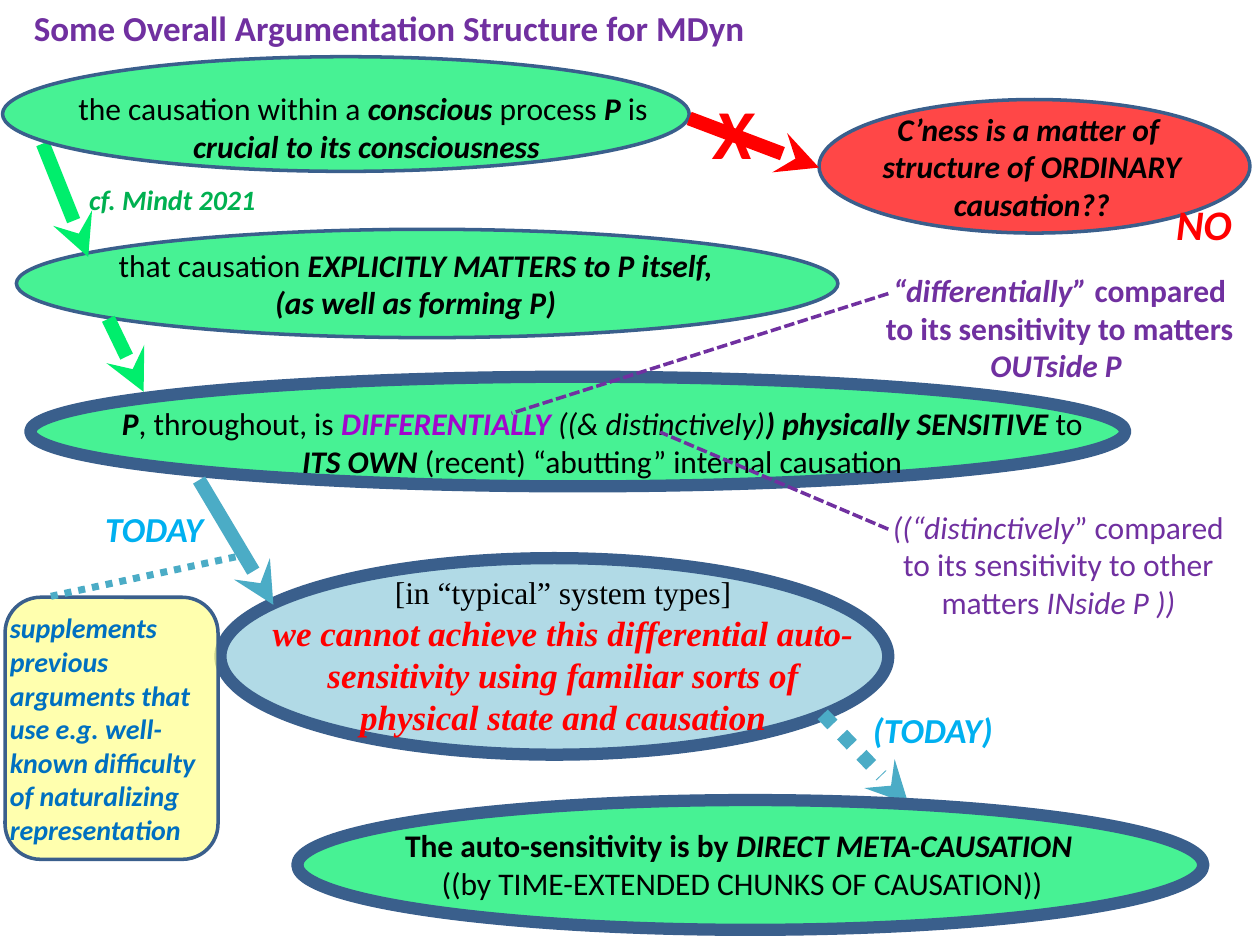
from pptx import Presentation
from pptx.dml.color import RGBColor
from pptx.enum.dml import MSO_LINE_DASH_STYLE as DASH
from pptx.enum.shapes import MSO_CONNECTOR, MSO_SHAPE as SHAPE
from pptx.enum.text import MSO_AUTO_SIZE, PP_ALIGN as ALIGN
from pptx.oxml import parse_xml
from pptx.oxml.ns import nsdecls, qn
from pptx.util import Inches, Pt

THEME = {
    "font": "Calibri", "serif": "Times New Roman",
    "body": 18, "note": 16, "label": 20, "verdict": 24, "cross": 40,
    "text": "000000", "outline": "3A5F8C", "claim": "00EE6C", "rejected": "FF0000",
    "problem": "93CDDD", "aside": "FFFF8F", "aside_text": "0070C0",
    "step": "4BACC6", "today": "00B0F0", "purple": "7030A0",
    "highlight": "A205CD", "cite": "00B050",
}
FILL_OPACITY = 72
THIN, DOTTED, THICK, ARROW = 2, 4, 7, 8

# Back to front. Nodes: kind, (left, top, width, height), fill, outline weight.
# Links: kind, (x1, y1, x2, y2), colour, weight, dash.
FIGURES = [
    ("ellipse", (0.13, 1.82, 6.52, 0.86), "claim", THIN),
    ("arrow", (0.34, 1.14, 0.7, 2.04), "claim", ARROW, None),
    ("ellipse", (6.5, 0.79, 3.42, 1.06), "rejected", THIN),
    ("ellipse", (0.24, 2.99, 8.69, 0.87), "claim", THICK),
    ("ellipse", (0.02, 0.45, 5.45, 0.91), "claim", THIN),
    ("ellipse", (1.75, 4.43, 5.3, 1.56), "problem", THICK),
    ("arrow", (1.58, 3.81, 2.17, 4.8), "step", ARROW, None),
    ("arrow", (5.47, 0.94, 6.5, 1.33), "rejected", ARROW, None),
    ("arrow", (0.86, 2.53, 1.14, 3.11), "claim", ARROW, None),
    ("arrow", (6.53, 5.67, 7.21, 6.38), "step", ARROW, DASH.ROUND_DOT),
    ("ellipse", (2.36, 6.35, 7.19, 1.03), "claim", THICK),
    ("round", (0.04, 4.74, 1.69, 2.08), "aside", THIN),
    ("line", (1.87, 4.42, 0.37, 4.74), "step", DOTTED, DASH.ROUND_DOT),
]

# Box, paragraphs, format. A run is (text, style) or (text, style, overrides);
# style holds b for bold and i for italic.
TEXTS = [
    ((0.17, 0, 7.03, 0.44), [[("Some Overall Argumentation Structure for MDyn", "b")]],
     dict(size="label", color="purple", align=ALIGN.LEFT)),
    ((0.37, 0.66, 5.02, 0.71),
     [[("the causation within a ", ""), ("conscious", "bi"), (" process ", ""),
       ("P", "bi"), (" is", "")],
      [(" ", ""), ("crucial to its consciousness", "bi")]], {}),
    ((6.89, 0.82, 2.6, 1.01),
     [[("C’ness is a matter of ", "bi")], [("structure of ORDINARY causation??", "bi")]], {}),
    ((0.12, 1.9, 6.36, 0.71),
     [[("that causation ", ""), ("EXPLICITLY MATTERS to P itself,", "bi")],
      [("(as well as forming P)", "bi")]], {}),
    ((0.7, 3.16, 8.16, 0.71),
     [[("P", "bi"), (", throughout, is ", ""),
       ("DIFFERENTIALLY ", "bi", dict(color="highlight")),
       ("((& distinctively)", "i"), (") physically SENSITIVE", "bi"), (" to", "")],
      [("ITS OWN ", "bi"), ("(recent) “abutting” internal causation", "")]], {}),
    ((2.05, 4.5, 4.84, 1.41),
     [[("[in “typical” system types]", "")],
      [("we cannot achieve this differential auto-sensitivity using familiar sorts "
        "of physical state and causation", "bi", dict(color="rejected", size="label"))]],
     dict(font="serif")),
    ((2.43, 6.51, 6.92, 0.71),
     [[("The auto-sensitivity is by ", "b"), ("DIRECT META-CAUSATION ", "bi")],
      [("((by TIME-EXTENDED CHUNKS OF CAUSATION))", "")]], {}),
    ((6.9, 2.1, 3.02, 1.01),
     [[("“differentially” ", "bi"), ("compared to its sensitivity to matters ", "b"),
       ("OUTside P ", "bi")]], dict(color="purple")),
    ((6.89, 3.98, 3.02, 1.01),
     [[("((“distinctively", "i"), ("” compared to its sensitivity to other matters ", ""),
       ("INside P ))", "i")]], dict(color="purple")),
    ((0.57, 3.98, 1.14, 0.44), [[("TODAY", "bi")]],
     dict(size="label", color="today", align=ALIGN.RIGHT)),
    ((6.83, 5.57, 1.28, 0.44), [[("(TODAY)", "bi")]],
     dict(size="label", color="today", align=ALIGN.LEFT)),
    ((9.2, 1.53, 0.71, 0.5), [[("NO", "bi")]], dict(size="verdict", color="rejected")),
    ((5.47, 0.66, 0.71, 0.77), [[("X", "bi")]], dict(size="cross", color="rejected")),
    ((-0.02, 4.8, 1.75, 1.99),
     [[("supplements previous arguments that", "bi")],
      [("use e.g. well-known difficulty of naturalizing representation", "bi")]],
     dict(size="note", color="aside_text", align=ALIGN.LEFT)),
    ((0.61, 1.4, 1.56, 0.37), [[("cf. Mindt 2021", "bi")]],
     dict(size="note", color="cite", align=ALIGN.LEFT)),
]

# Lines from a remark to the word it explains, drawn over the text.
REMARK_LINES = [
    ("line", (7.05, 2.33, 4.06, 3.28), "purple", THIN, DASH.SQUARE_DOT),
    ("line", (7.05, 4.2, 5.24, 3.43), "purple", THIN, DASH.SQUARE_DOT),
]


def rgb(name):
    return RGBColor.from_string(THEME[name])


def add_node(slide, kind, box, fill, weight):
    preset = SHAPE.OVAL if kind == "ellipse" else SHAPE.ROUNDED_RECTANGLE
    sp = slide.shapes.add_shape(preset, *map(Inches, box))
    sp.shadow.inherit = False
    sp.fill.solid()
    sp.fill.fore_color.rgb = rgb(fill)
    color = sp.fill._xPr.find(qn("a:solidFill"))[0]
    color.append(parse_xml(f'<a:alpha {nsdecls("a")} val="{FILL_OPACITY * 1000}"/>'))
    sp.line.color.rgb = rgb("outline")
    sp.line.width = Pt(weight)


def add_link(slide, kind, ends, color, weight, dash):
    cxn = slide.shapes.add_connector(MSO_CONNECTOR.STRAIGHT, *map(Inches, ends))
    cxn.line.color.rgb = rgb(color)
    cxn.line.width = Pt(weight)
    if dash is not None:
        cxn.line.dash_style = dash
    if kind == "arrow":
        cxn.line._get_or_add_ln().append(
            parse_xml(f'<a:tailEnd {nsdecls("a")} type="stealth"/>'))
    cxn._element.spPr.append(parse_xml(f'<a:effectLst {nsdecls("a")}/>'))


def add_figures(slide, figures):
    for figure in figures:
        add = add_link if figure[0] in ("line", "arrow") else add_node
        add(slide, *figure)


def add_text(slide, box, paragraphs, size="body", color="text", font="font",
             align=ALIGN.CENTER):
    tf = slide.shapes.add_textbox(*map(Inches, box)).text_frame
    tf.word_wrap = True
    tf.auto_size = MSO_AUTO_SIZE.SHAPE_TO_FIT_TEXT
    for n, runs in enumerate(paragraphs):
        p = tf.add_paragraph() if n else tf.paragraphs[0]
        p.alignment = align
        for text, style, *extra in runs:
            look = {"size": size, "color": color, **(extra[0] if extra else {})}
            r = p.add_run()
            r.text = text
            r.font.name = THEME[font]
            r.font.size = Pt(THEME[look["size"]])
            r.font.color.rgb = rgb(look["color"])
            r.font.bold = "b" in style
            r.font.italic = "i" in style


def main():
    prs = Presentation()
    prs.slide_width, prs.slide_height = Inches(10), Inches(7.5)
    slide = prs.slides.add_slide(prs.slide_layouts[6])
    add_figures(slide, FIGURES)
    for box, paragraphs, look in TEXTS:
        add_text(slide, box, paragraphs, **look)
    add_figures(slide, REMARK_LINES)
    prs.save("out.pptx")


if __name__ == "__main__":
    main()
